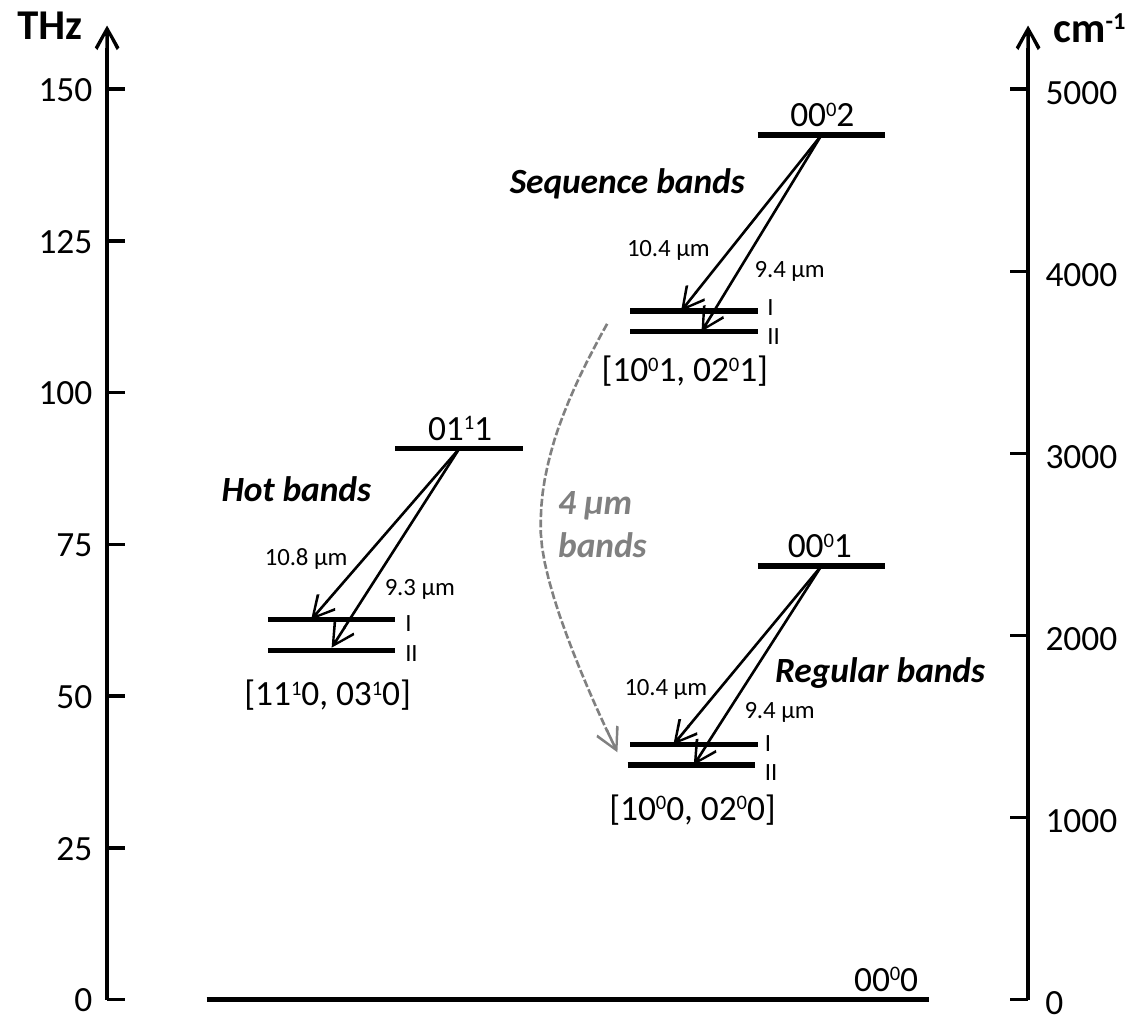
from pptx import Presentation
from pptx.dml.color import RGBColor
from pptx.enum.dml import MSO_LINE
from pptx.enum.shapes import MSO_CONNECTOR
from pptx.enum.text import MSO_AUTO_SIZE, PP_ALIGN
from pptx.oxml.ns import qn
from pptx.util import Pt
from lxml import etree

STRAIGHT = MSO_CONNECTOR.STRAIGHT
DASH = MSO_LINE.SQUARE_DOT
LEFT, RIGHT = PP_ALIGN.LEFT, PP_ALIGN.RIGHT
FIT = MSO_AUTO_SIZE.SHAPE_TO_FIT_TEXT
EMU_PER_PX = 9144
FONT = "Calibri"
BLACK, GRAY = "000000", "808080"
LEVEL_WIDTH = 50

BANDS = [
    dict(box=(155, 176), upper="01^1^1", lower="[11^1^0, 03^1^0]",
         upper_at=(3, -22), lower_at=(-69, 82), numerals_at=(-6, 57),
         title="Hot bands", title_box=(-78, 2, 79, 27),
         lines=[dict(level=(-50, 67), tip=(-33, 67), text="10.8 µm", box=(-61, 31, 53, 22)),
                dict(level=(-50, 79), tip=(-25, 78), text="9.3 µm", box=(-14, 43, 48, 22))]),
    dict(box=(297, 53), upper="00^0^2", lower="[10^0^1, 02^0^1]",
         upper_at=(3, -22), lower_at=(-71, 78), numerals_at=(-6, 56),
         title="Sequence bands", title_box=(-107, 4, 115, 27),
         lines=[dict(level=(-50, 69), tip=(-30, 69), text="10.4 µm", box=(-61, 33, 53, 22)),
                dict(level=(-50, 77), tip=(-22, 77), text="9.4 µm", box=(-11, 41, 48, 22))]),
    dict(box=(297, 222), upper="00^0^1", lower="[10^0^0, 02^0^0]",
         upper_at=(2, -22), lower_at=(-68, 81), numerals_at=(-7, 58),
         title="Regular bands", title_box=(-3, 27, 104, 27),
         lines=[dict(level=(-50, 70), tip=(-33, 70), text="10.4 µm", box=(-62, 36, 53, 22)),
                dict(level=(-51, 78), tip=(-25, 78), text="9.4 µm", box=(-15, 45, 48, 22))]),
]


def px(value):
    return round(value * EMU_PER_PX)


def color(hex_string):
    return RGBColor.from_string(hex_string)


def add_arrowhead(shape):
    outline = shape._element.spPr.find(qn("a:ln"))
    etree.SubElement(outline, qn("a:tailEnd"), type="arrow")


def add_line(page, start, end, width, arrow=False):
    line = page.shapes.add_connector(STRAIGHT, *map(px, (*start, *end)))
    line.line.color.rgb = color(BLACK)
    line.line.width = Pt(width)
    if arrow:
        add_arrowhead(line)
    etree.SubElement(line._element.spPr, qn("a:effectLst"))


def add_text(page, text, box, size=10, hex_string=BLACK, bold=False, italic=False, align=LEFT):
    frame = page.shapes.add_textbox(*map(px, box)).text_frame
    frame.word_wrap = False
    frame.auto_size = FIT
    for index, content in enumerate(text.split("\n")):
        para = frame.add_paragraph() if index else frame.paragraphs[0]
        para.alignment = align
        para.font.name = FONT
        para.font.size = Pt(size)
        para.font.bold = bold
        para.font.italic = italic
        para.font.color.rgb = color(hex_string)
        for position, part in enumerate(content.split("^")):
            if not part:
                continue
            if "\v" in part:
                para.text = part
                continue
            span = para.add_run()
            span.text = part
            if position % 2:
                span.font._element.set("baseline", "30000")


def add_axis(page, box, labels, title, title_box, on_left):
    left, top, height, first_tick = box
    bottom = top + height
    gap = (bottom - first_tick) / (len(labels) - 1)
    tick_end = left + (7 if on_left else -7)
    add_line(page, (left, bottom), (left, top), 1, arrow=True)
    for index, label in enumerate(labels):
        tick = bottom - index * gap
        add_line(page, (left, tick), (tick_end, tick), 1)
        width = 20 + 7 * len(label)
        label_left = left + 4 - width if on_left else left - 3
        label_top = tick - (14 if on_left else 13)
        add_text(page, label, (label_left, label_top, width, 27),
                 align=RIGHT if on_left else LEFT)
    add_text(page, title, title_box, size=12, bold=True)


def add_band(page, box, upper, lower, upper_at, lower_at, numerals_at, title, title_box, lines):
    left, top = box

    def shift(x, y, *size):
        return (left + x, top + y, *size)

    def add_level(x, y):
        add_line(page, shift(x, y), shift(x + LEVEL_WIDTH, y), 1.5)

    add_level(0, 0)
    for line in lines:
        add_level(*line["level"])
        add_line(page, shift(LEVEL_WIDTH / 2, 0), shift(*line["tip"]), 0.75, arrow=True)
        add_text(page, line["text"], shift(*line["box"]), size=7)
    add_text(page, upper, shift(*upper_at, 46, 27))
    add_text(page, lower, shift(*lower_at, 88, 27))
    add_text(page, "I\nII", shift(*numerals_at, 25, 34), size=7)
    add_text(page, title, shift(*title_box), bold=True, italic=True)


def add_ground_state(page, box):
    left, top, width = box
    add_line(page, (left, top), (left + width, top), 1.5)
    add_text(page, "00^0^0", (left + 244, top - 22, 46, 27))


def bezier(points, steps=16):
    for step in range(1, steps + 1):
        t = step / steps
        weights = ((1 - t) ** 3, 3 * t * (1 - t) ** 2, 3 * t * t * (1 - t), t ** 3)
        yield tuple(px(sum(w * p[axis] for w, p in zip(weights, points))) for axis in (0, 1))


def add_curved_transition(page, box):
    left, top = box
    curve = [(left + x, top + y) for x, y in
             ((26, 0), (11, 27), (-1, 54), (0, 82), (1, 110), (30, 168), (30, 168))]
    builder = page.shapes.build_freeform(*map(px, curve[0]))
    builder.add_line_segments([*bezier(curve[:4]), *bezier(curve[3:])], close=False)
    arc = builder.convert_to_shape()
    arc.shadow.inherit = False
    arc.fill.background()
    arc.line.color.rgb = color(GRAY)
    arc.line.width = Pt(0.75)
    arc.line.dash_style = DASH
    add_arrowhead(arc)
    add_text(page, "4 µm\vbands", (left - 3, top + 56, 56, 44),
             hex_string=GRAY, bold=True, italic=True)


def main():
    deck = Presentation()
    deck.slide_width, deck.slide_height = px(450), px(400)
    page = deck.slides.add_slide(deck.slide_layouts[6])
    add_ground_state(page, (81, 392, 283))
    for band in BANDS:
        add_band(page, **band)
    add_axis(page, (42, 10, 382, 35), [str(value) for value in range(0, 151, 25)],
             "THz", (-3, -6, 46, 30), on_left=True)
    add_axis(page, (403, 10, 382, 35), [str(value) for value in range(0, 5001, 1000)],
             "cm^-1", (403, -5, 50, 30), on_left=False)
    add_curved_transition(page, (212, 127))
    deck.save("out.pptx")


if __name__ == "__main__":
    main()
